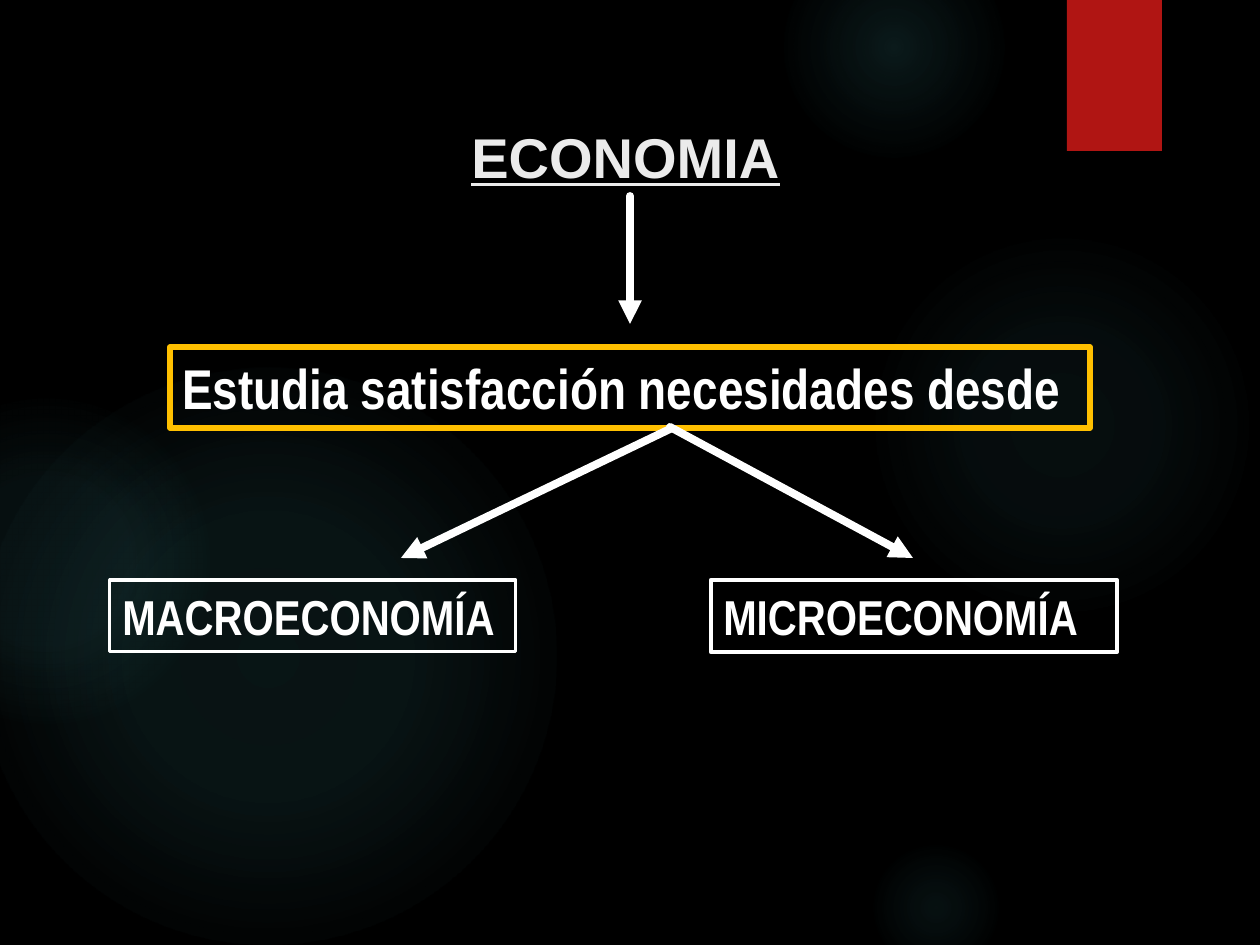
from lxml import etree
from pptx import Presentation
from pptx.dml.color import RGBColor
from pptx.enum.shapes import MSO_CONNECTOR, MSO_SHAPE
from pptx.enum.text import MSO_ANCHOR, PP_ALIGN
from pptx.oxml import parse_xml
from pptx.oxml.ns import nsdecls, qn
from pptx.util import Emu, Pt

RECT, OVAL = MSO_SHAPE.RECTANGLE, MSO_SHAPE.OVAL
STRAIGHT = MSO_CONNECTOR.STRAIGHT
TOP, LEFT = MSO_ANCHOR.TOP, PP_ALIGN.LEFT
BOTTOM_SITE = 2
SCALE = 914400 / 126
WHITE, TITLE, GOLD, RED, GLOW = "FFFFFF", "EBEBEB", "FFC000", "B01513", "50B9C1"
NARROW = "Arial Narrow"


def px(n):
    """Turn pixels into EMU."""
    return Emu(round(n * SCALE))


def rgb(value):
    """Turn a hex string into a colour."""
    return RGBColor.from_string(value)


def add_shape(slide, kind, x, y, w, h):
    """Add a plain shape without shadow, fill or outline."""
    sp = slide.shapes.add_shape(kind, px(x), px(y), px(w), px(h))
    sp.shadow.inherit = False
    sp.fill.background()
    sp.line.fill.background()
    return sp


def add_glow(slide, x, y, size, stops):
    """Add a circle that fades out from its centre."""
    sp = add_shape(slide, OVAL, x, y, size, size)
    gs = "".join(
        f'<a:gs pos="{pos * 1000}"><a:srgbClr val="{GLOW}">'
        f'<a:alpha val="{alpha * 1000}"/></a:srgbClr></a:gs>'
        for pos, alpha in stops
    )
    grad = parse_xml(
        f'<a:gradFill {nsdecls("a")}><a:gsLst>{gs}</a:gsLst><a:path path="circle">'
        '<a:fillToRect l="50000" t="50000" r="50000" b="50000"/></a:path></a:gradFill>'
    )
    spPr = sp.fill._xPr
    spPr.replace(spPr.find(qn("a:noFill")), grad)


def set_text(sp, text, size, font, color, underline=False):
    """Write one bold, left-aligned line."""
    tf = sp.text_frame
    tf.word_wrap = True
    tf.vertical_anchor = TOP
    p = tf.paragraphs[0]
    p.alignment = LEFT
    r = p.add_run()
    r.text = text
    r.font.size = Pt(size)
    r.font.name = font
    r.font.bold = True
    r.font.underline = underline
    r.font.color.rgb = rgb(color)


def add_box(slide, x, y, w, h, text, size, color, width):
    """Add an outlined box with a line of text."""
    sp = add_shape(slide, RECT, x, y, w, h)
    sp.line.color.rgb = rgb(color)
    sp.line.width = Pt(width)
    set_text(sp, text, size, NARROW, WHITE)


def add_arrow(slide, x1, y1, x2, y2):
    """Add a thick white arrow with round ends."""
    cxn = slide.shapes.add_connector(STRAIGHT, px(x1), px(y1), px(x2), px(y2))
    cxn.line.color.rgb = rgb(WHITE)
    cxn.line.width = Pt(4.5)
    ln = cxn.line._get_or_add_ln()
    ln.set("cap", "rnd")
    etree.SubElement(ln, qn("a:tailEnd"), type="triangle")
    etree.SubElement(ln.getparent(), qn("a:effectLst"))
    return cxn


def main():
    """Build the slide and save it."""
    prs = Presentation()
    prs.slide_width, prs.slide_height = px(1260), px(945)
    slide = prs.slides.add_slide(prs.slide_layouts[6])
    slide.background.fill.solid()
    slide.background.fill.fore_color.rgb = rgb("000000")

    for x, y, size, centre, middle, edge in (
        (868, 231, 388, 7, 6, 69),
        (784, -63, 220, 14, 7, 73),
        (868, 840, 136, 9, 5, 66),
        (-21, 368, 577, 11, 10, 75),
        (-116, 399, 325, 8, 8, 72),
    ):
        add_glow(slide, x, y, size, ((0, centre), (36, middle), (edge, 0)))

    ribbon = add_shape(slide, RECT, 1067, 0, 95, 151)
    ribbon.fill.solid()
    ribbon.fill.fore_color.rgb = rgb(RED)

    add_box(slide, 170, 347, 920, 81, "Estudia satisfacción necesidades desde", 32, GOLD, 3.25)
    add_box(slide, 711, 580, 406, 72, "MICROECONOMÍA", 28, WHITE, 2.5)
    add_box(slide, 110, 580, 406, 72, "MACROECONOMÍA", 28, WHITE, 1.75)

    title = slide.shapes.add_textbox(px(459), px(116), px(342), px(80))
    set_text(title, "ECONOMIA", 32, "Arial", TITLE, underline=True)

    add_arrow(slide, 630, 196, 630, 324).begin_connect(title, BOTTOM_SITE)
    add_arrow(slide, 670, 429, 401, 558)
    add_arrow(slide, 670, 427, 913, 558)
    prs.save("out.pptx")


if __name__ == "__main__":
    main()
